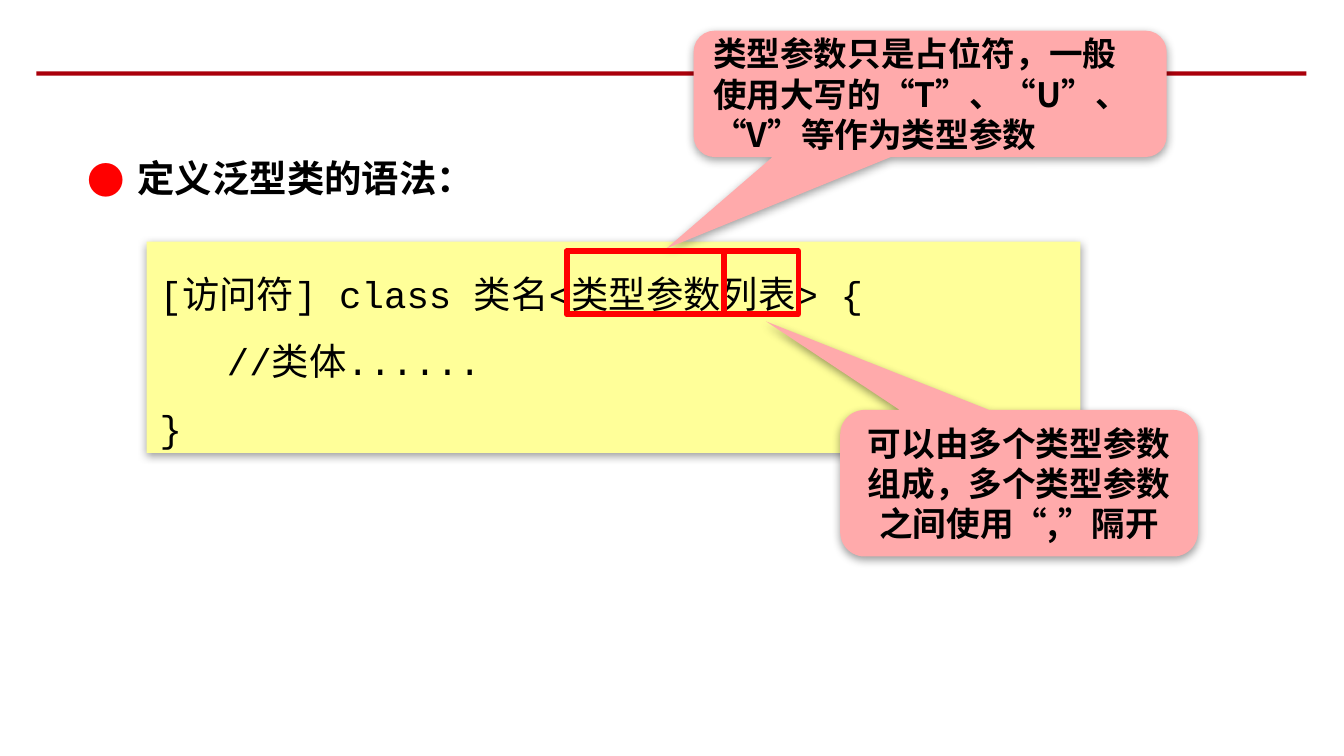
from lxml.etree import SubElement
from pptx import Presentation
from pptx.dml.color import RGBColor
from pptx.enum.shapes import MSO_SHAPE
from pptx.enum.text import MSO_ANCHOR, PP_ALIGN
from pptx.oxml.ns import qn
from pptx.util import Cm, Pt

BLACK = RGBColor(0x00, 0x00, 0x00)
RED = RGBColor(0xFF, 0x00, 0x00)
DARK_RED = RGBColor(0xAA, 0x00, 0x0B)
YELLOW = RGBColor(0xFF, 0xFF, 0x99)
PINK = RGBColor(0xFF, 0xAA, 0xAB)
SANS = "Noto Sans CJK SC"
MONO = "Courier New"


def add_block(preset, box, fill=None, shadow=False):
    block = slide.shapes.add_shape(preset, *[Cm(length) for length in box])
    block.shadow.inherit = False
    block.line.fill.background()
    if fill is None:
        block.fill.background()
    else:
        block.fill.solid()
        block.fill.fore_color.rgb = fill
    if shadow:
        effects = block._element.spPr.find(qn("a:effectLst"))
        outer = SubElement(effects, qn("a:outerShdw"), blurRad=str(Pt(5)), dist=str(Pt(1.6)),
                           dir="5400000", rotWithShape="0")
        color = SubElement(outer, qn("a:srgbClr"), val=str(BLACK))
        SubElement(color, qn("a:alpha"), val="38000")
    return block


def write(block, lines, font, size, bold, align, spacing, anchor):
    frame = block.text_frame
    frame.word_wrap = True
    frame.vertical_anchor = anchor
    frame.text = "\n".join(lines)
    for paragraph in frame.paragraphs:
        paragraph.alignment = align
        paragraph.line_spacing = spacing
        for run in paragraph.runs:
            run.font.name = font
            run.font.size = Pt(size)
            run.font.bold = bold
            run.font.color.rgb = BLACK
            SubElement(run.font._element, qn("a:ea"), typeface=SANS)


presentation = Presentation()
presentation.slide_width = Cm(25.4)
presentation.slide_height = Cm(14.29)
slide = presentation.slides.add_slide(presentation.slide_layouts[6])

add_block(MSO_SHAPE.RECTANGLE, (0.69, 1.35, 24, 0.08), DARK_RED)

heading = slide.shapes.add_textbox(Cm(1.4), Cm(2.39), Cm(22.81), Cm(5.56))
write(heading, ["定义泛型类的语法："], SANS, 20, True, PP_ALIGN.LEFT, 1.5, MSO_ANCHOR.TOP)
bullet = heading.text_frame.paragraphs[0]._p.get_or_add_pPr()
bullet.set("marL", str(Cm(0.95)))
bullet.set("indent", str(-Cm(0.95)))
bullet_color = SubElement(bullet, qn("a:buClr"))
SubElement(bullet_color, qn("a:srgbClr"), val=str(RED))
SubElement(bullet, qn("a:buFont"), typeface=SANS)
SubElement(bullet, qn("a:buChar"), char="●")

syntax = add_block(MSO_SHAPE.RECTANGLE, (2.77, 4.57, 17.65, 3.99), YELLOW, shadow=True)
write(syntax, ["[访问符] class 类名<类型参数列表> {", "\t//类体......", "}"],
      MONO, 20, False, PP_ALIGN.LEFT, 1.5, MSO_ANCHOR.TOP)

notes = [
    (2.97, (13.11, 0.58, 8.94, 2.39), (-0.557, 1.222), PP_ALIGN.LEFT,
     "类型参数只是占位符，一般使用大写的“T”、“U”、“V”等作为类型参数"),
    (4.37, (15.88, 7.75, 6.76, 2.77), (-0.707, -1.104), PP_ALIGN.CENTER,
     "可以由多个类型参数组成，多个类型参数之间使用“,”隔开"),
]
for highlight_width, box, tip, align, words in notes:
    highlight = add_block(MSO_SHAPE.RECTANGLE, (10.72, 4.75, highlight_width, 1.19))
    highlight.line.color.rgb = RED
    highlight.line.width = Pt(3)
    callout = add_block(MSO_SHAPE.ROUNDED_RECTANGULAR_CALLOUT, box, PINK, shadow=True)
    for position, value in enumerate((*tip, 0.167)):
        callout.adjustments[position] = value
    write(callout, [words], SANS, 18, True, align, 1.0, MSO_ANCHOR.MIDDLE)

presentation.save("out.pptx")
